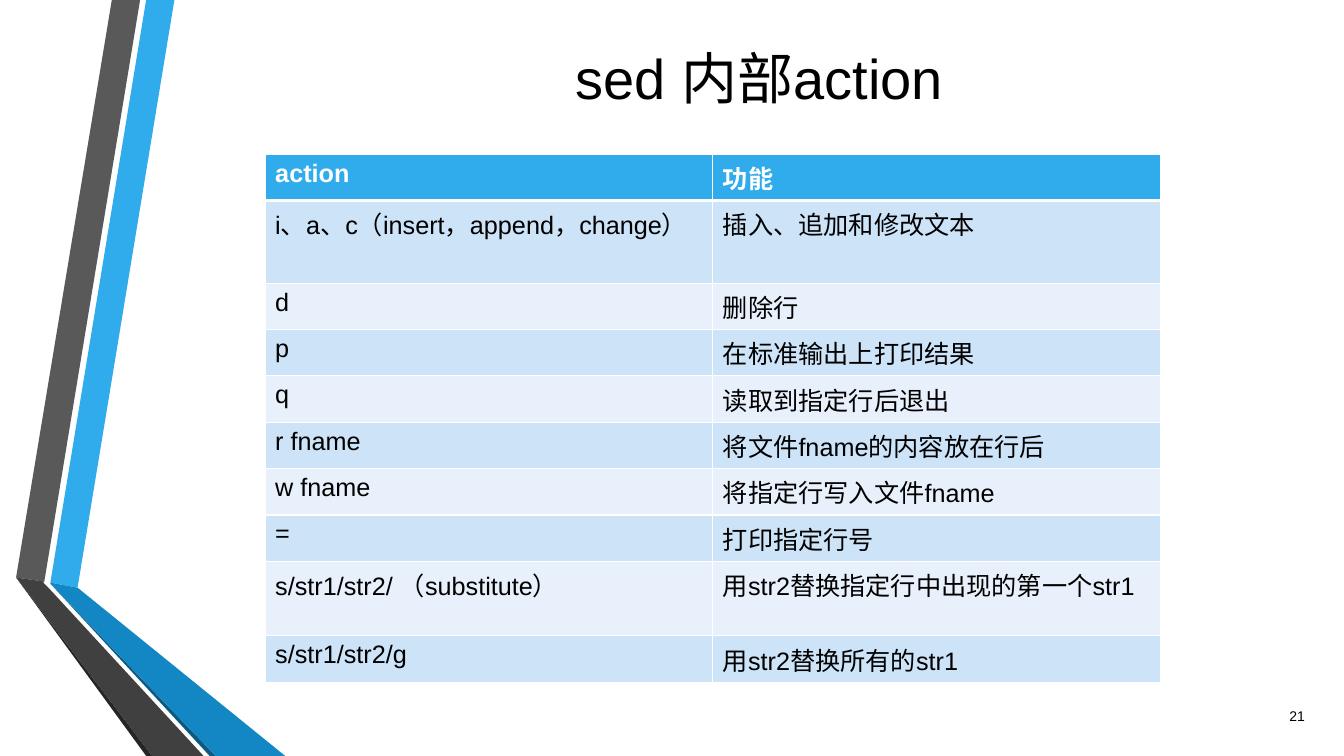
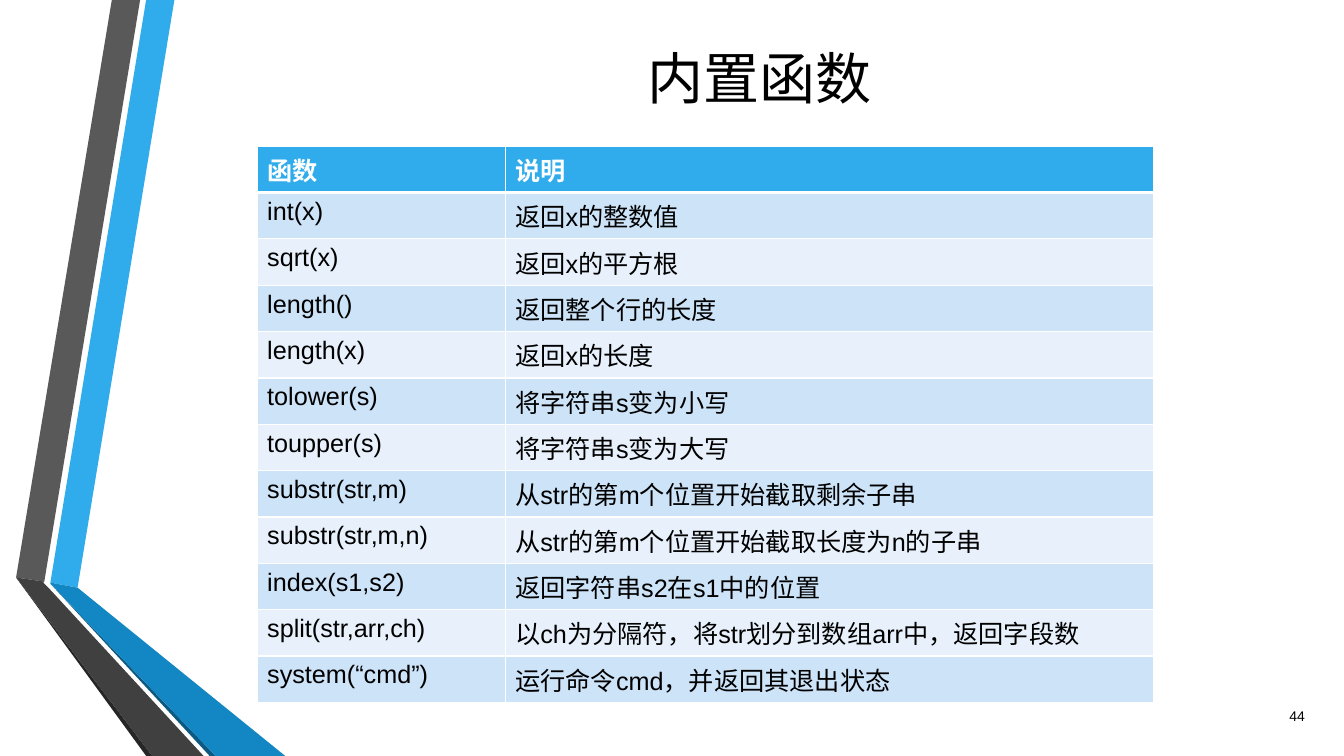
"""Build two reference slides on sed actions and awk built-in functions."""
import lxml.etree
import pptx
import pptx.dml.color
import pptx.enum.text
import pptx.oxml.ns
import pptx.util
from pptx.util import Inches

FONT = "Arial"
COLORS = {
    "white": "FFFFFF", "black": "000000", "blue": "30ACEC", "grey": "595959",
    "near_black": "262626", "navy": "0C5A82", "deep_blue": "1287C3",
    "charcoal": "404040", "row_dark": "CDE3F8", "row_light": "E8F1FB",
}
RIBBONS = [
    ("blue", [(0.5, 5.78), (0.77, 5.83), (1.73, 0), (1.45, 0)]),
    ("grey", [(1.39, 0), (1.11, 0), (0.16, 5.73), (0.44, 5.77)]),
    ("near_black", [(0.16, 5.73), (1.45, 7.5), (1.51, 7.5)]),
    ("navy", [(0.5, 5.79), (2.08, 7.5), (2.14, 7.5)]),
    ("deep_blue", [(0.5, 5.79), (2.14, 7.5), (2.83, 7.5), (0.77, 5.83), (0.5, 5.78)]),
    ("charcoal", [(2.02, 7.5), (0.48, 5.83), (0.43, 5.78), (0.44, 5.77),
                  (0.16, 5.73), (1.51, 7.5)]),
]
ROW_HEIGHT = 0.46
SLIDES = [
    {
        "title": "sed 内部action", "number": "21",
        "corner": (2.63, 1.53), "columns": (4.44, 4.44),
        "tall_rows": {1: 0.82, 8: 0.74},
        "rows": [
            ("action", "功能"),
            ("i、a、c（insert，append，change）", "插入、追加和修改文本"),
            ("d", "删除行"),
            ("p", "在标准输出上打印结果"),
            ("q", "读取到指定行后退出"),
            ("r fname", "将文件fname的内容放在行后"),
            ("w fname", "将指定行写入文件fname"),
            ("=", "打印指定行号"),
            ("s/str1/str2/ （substitute）", "用str2替换指定行中出现的第一个str1"),
            ("s/str1/str2/g", "用str2替换所有的str1"),
        ],
    },
    {
        "title": "内置函数", "number": "44",
        "corner": (2.55, 1.45), "columns": (2.46, 6.43),
        "tall_rows": {},
        "rows": [
            ("函数", "说明"),
            ("int(x)", "返回x的整数值"),
            ("sqrt(x)", "返回x的平方根"),
            ("length()", "返回整个行的长度"),
            ("length(x)", "返回x的长度"),
            ("tolower(s)", "将字符串s变为小写"),
            ("toupper(s)", "将字符串s变为大写"),
            ("substr(str,m)", "从str的第m个位置开始截取剩余子串"),
            ("substr(str,m,n)", "从str的第m个位置开始截取长度为n的子串"),
            ("index(s1,s2)", "返回字符串s2在s1中的位置"),
            ("split(str,arr,ch)", "以ch为分隔符，将str划分到数组arr中，返回字段数"),
            ("system(“cmd”)", "运行命令cmd，并返回其退出状态"),
        ],
    },
]


def color(name):
    return pptx.dml.color.RGBColor.from_string(COLORS[name])


def write(frame, text, size, color_name, align="LEFT", bold=False):
    para = frame.paragraphs[0]
    para.alignment = getattr(pptx.enum.text.PP_ALIGN, align)
    span = para.add_run()
    span.text = text
    span.font.name = FONT
    span.font.size = pptx.util.Pt(size)
    span.font.bold = bold
    span.font.color.rgb = color(color_name)


def add_text(page, place, text, size, align):
    frame = page.shapes.add_textbox(*map(Inches, place)).text_frame
    frame.word_wrap = True
    frame.vertical_anchor = pptx.enum.text.MSO_ANCHOR.MIDDLE
    write(frame, text, size, "black", align)


def add_ribbons(page):
    for color_name, points in RIBBONS:
        corners = [(Inches(x), Inches(y)) for x, y in points]
        builder = page.shapes.build_freeform(*corners[0])
        builder.add_line_segments(corners[1:], close=True)
        ribbon = builder.convert_to_shape()
        ribbon.shadow.inherit = False
        ribbon.fill.solid()
        ribbon.fill.fore_color.rgb = color(color_name)
        ribbon.line.fill.background()


def add_borders(cell, widths):
    properties = cell._tc.get_or_add_tcPr()
    name = pptx.oxml.ns.qn
    for side, width in widths.items():
        line = lxml.etree.SubElement(properties, name("a:ln" + side), w=str(pptx.util.Pt(width)))
        fill = lxml.etree.SubElement(line, name("a:solidFill"))
        lxml.etree.SubElement(fill, name("a:srgbClr"), val=COLORS["white"])


def add_table(page, corner, columns, rows, tall_rows):
    heights = [tall_rows.get(index, ROW_HEIGHT) for index in range(len(rows))]
    size = (sum(columns), sum(heights))
    table = page.shapes.add_table(len(rows), len(columns), *map(Inches, corner + size)).table
    for column, width in zip(table.columns, columns):
        column.width = Inches(width)
    for index, texts in enumerate(rows):
        table.rows[index].height = Inches(heights[index])
        header = index == 0
        fill = "blue" if header else ("row_light", "row_dark")[index % 2]
        widths = {"L": 1, "R": 1, "T": 3 if index == 1 else 1, "B": 3 if header else 1}
        for cell, text in zip(table.rows[index].cells, texts):
            add_borders(cell, widths)
            cell.fill.solid()
            cell.fill.fore_color.rgb = color(fill)
            write(cell.text_frame, text, 18, "white" if header else "black", bold=header)


def main():
    deck = pptx.Presentation()
    deck.slide_width, deck.slide_height = Inches(13.33), Inches(7.5)
    for content in SLIDES:
        page = deck.slides.add_slide(deck.slide_layouts[6])
        add_ribbons(page)
        add_text(page, (2.02, 0.27, 11.02, 0.98), content["title"], 40, "CENTER")
        add_text(page, (12.44, 6.9, 0.6, 0.4), content["number"], 10, "RIGHT")
        add_table(page, content["corner"], content["columns"], content["rows"],
                  content["tall_rows"])
    deck.save("out.pptx")


if __name__ == "__main__":
    main()
